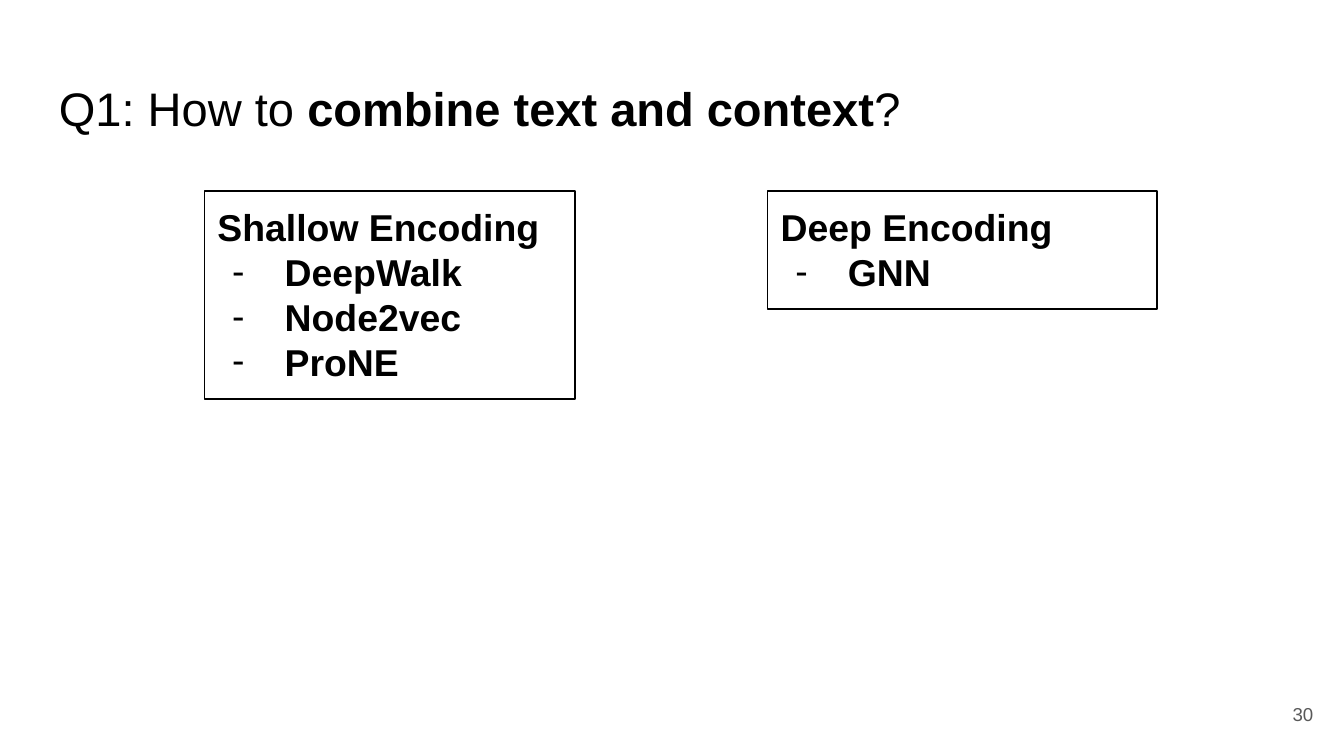
import pptx
import pptx.dml.color
import pptx.enum.shapes
import pptx.enum.text
import pptx.oxml.ns
import pptx.util
from pptx.util import Inches
import lxml.etree

BLACK = "000000"
GRAY = "595959"
ANCHOR = pptx.enum.text.MSO_ANCHOR
ALIGN = pptx.enum.text.PP_ALIGN


def color(value):
    """Turn a hex string into a colour."""
    return pptx.dml.color.RGBColor.from_string(value)


def add_span(para, text, size=20, bold=False, fill=BLACK):
    """Add one formatted run of text to a paragraph."""
    span = para.add_run()
    span.text = text
    span.font.name = "Arial"
    span.font.size = pptx.util.Pt(size)
    span.font.bold = bold
    span.font.color.rgb = color(fill)


def prepare_frame(box, anchor=ANCHOR.TOP):
    """Set wrapping, margins and anchor, and return the text frame."""
    frame = box.text_frame
    frame.word_wrap = True
    frame.vertical_anchor = anchor
    frame.margin_left = frame.margin_right = Inches(0.1)
    frame.margin_top = frame.margin_bottom = Inches(0.1)
    return frame


def add_dash(para):
    """Give a paragraph a hanging dash bullet."""
    properties = para._p.get_or_add_pPr()
    properties.set("marL", str(Inches(0.5)))
    properties.set("indent", str(Inches(-0.39)))
    qualify = pptx.oxml.ns.qn
    bullet_color = lxml.etree.SubElement(properties, qualify("a:buClr"))
    lxml.etree.SubElement(bullet_color, qualify("a:srgbClr"), val=BLACK)
    lxml.etree.SubElement(properties, qualify("a:buFont"), typeface="Arial")
    lxml.etree.SubElement(properties, qualify("a:buChar"), char="-")


def add_text(page, left, top, width, height, spans, anchor=ANCHOR.TOP, align=ALIGN.LEFT):
    """Add a one-paragraph text box made of (text, format) spans."""
    box = page.shapes.add_textbox(Inches(left), Inches(top), Inches(width), Inches(height))
    para = prepare_frame(box, anchor).paragraphs[0]
    para.alignment = align
    for text, options in spans:
        add_span(para, text, **options)


def add_method_box(page, left, width, height, heading, methods):
    """Add an outlined box with a heading and a dashed list of methods."""
    box = page.shapes.add_shape(
        pptx.enum.shapes.MSO_SHAPE.RECTANGLE,
        Inches(left), Inches(1.42), Inches(width), Inches(height))
    box.shadow.inherit = False
    box.fill.background()
    box.line.color.rgb = color(BLACK)
    box.line.width = pptx.util.Pt(0.75)
    frame = prepare_frame(box)
    for index, text in enumerate([heading] + methods):
        para = frame.add_paragraph() if index else frame.paragraphs[0]
        if index:
            add_dash(para)
        para.alignment = ALIGN.LEFT
        add_span(para, text, bold=True)


def main():
    """Build the slide and save it."""
    deck = pptx.Presentation()
    deck.slide_width = Inches(10)
    deck.slide_height = deck.slide_width * 9 // 16
    page = deck.slides.add_slide(deck.slide_layouts[6])
    add_text(page, 0.34, 0.49, 9.32, 0.63, [
        ("Q1: How to ", {"size": 25.2}),
        ("combine text and context", {"size": 25.2, "bold": True}),
        ("?", {"size": 25.2}),
    ])
    add_method_box(page, 1.52, 2.76, 1.55, "Shallow Encoding", ["DeepWalk", "Node2vec", "ProNE"])
    add_method_box(page, 5.71, 2.9, 0.88, "Deep Encoding", ["GNN"])
    add_text(page, 9.27, 5.1, 0.6, 0.43, [("30", {"size": 10, "fill": GRAY})],
             anchor=ANCHOR.MIDDLE, align=ALIGN.RIGHT)
    deck.save("out.pptx")


if __name__ == "__main__":
    main()
